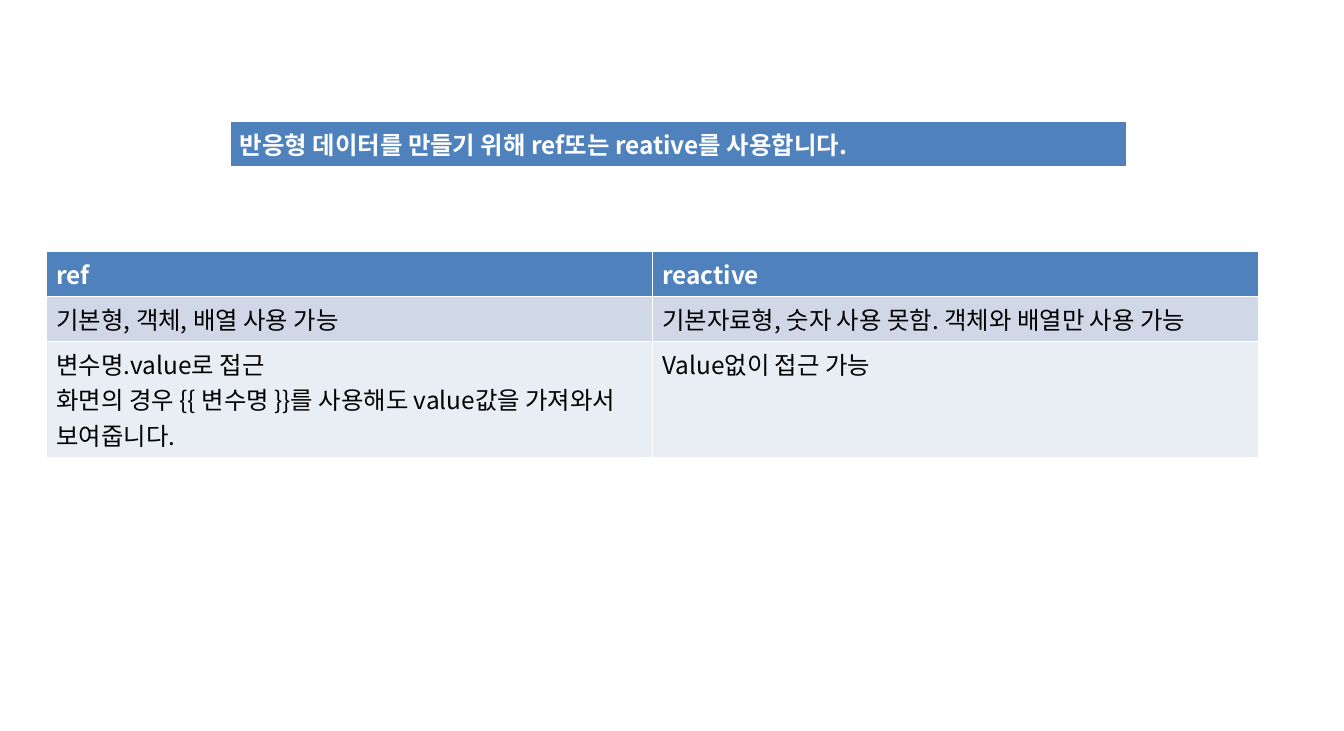
from lxml.etree import SubElement
from pptx import Presentation
from pptx.dml.color import RGBColor
from pptx.oxml.ns import qn
from pptx.util import Inches, Pt


def color(hex_string):
    return RGBColor.from_string(hex_string)


class SlideBuilder:
    """Hold the table style and add tables to the current slide."""

    font_name = "Noto Sans CJK KR"
    font_size = Pt(18)
    row_height = 0.41
    header_fill = "4F81BD"
    band_fills = ("D0D8E8", "E9EDF4")

    def __init__(self, slide):
        self.slide = slide

    def add_table(self, left, top, width, rows):
        column_count = len(rows[0])
        table = self.slide.shapes.add_table(
            len(rows), column_count, Inches(left), Inches(top),
            Inches(width), Inches(self.row_height * len(rows))).table
        for column in table.columns:
            column.width = Inches(width / column_count)
        for row_index, texts in enumerate(rows):
            table.rows[row_index].height = Inches(self.row_height)
            for column_index, text in enumerate(texts):
                self.fill_cell(table.cell(row_index, column_index), text, row_index)

    def fill_cell(self, cell, text, row_index):
        is_header = row_index == 0
        cell.fill.solid()
        cell.fill.fore_color.rgb = color(
            self.header_fill if is_header else self.band_fills[(row_index - 1) % 2])
        cell.text_frame.text = text
        for paragraph in cell.text_frame.paragraphs:
            self.style_paragraph(paragraph, "FFFFFF" if is_header else "000000", is_header)

    def style_paragraph(self, paragraph, text_color, bold):
        font = paragraph.font
        font.size = self.font_size
        font.bold = bold
        font.color.rgb = color(text_color)
        font.name = self.font_name
        properties = paragraph._p.get_or_add_pPr().find(qn("a:defRPr"))
        SubElement(properties, qn("a:ea")).set("typeface", self.font_name)


def main():
    presentation = Presentation()
    presentation.slide_width = Inches(13.78)
    presentation.slide_height = Inches(7.5)
    builder = SlideBuilder(presentation.slides.add_slide(presentation.slide_layouts[6]))

    builder.add_table(0.48, 2.58, 12.42, [
        ("ref", "reactive"),
        ("기본형, 객체, 배열 사용 가능",
         "기본자료형, 숫자 사용 못함. 객체와 배열만 사용 가능"),
        ("변수명.value로 접근\n"
         "화면의 경우 {{ 변수명 }}를 사용해도 value값을 가져와서 보여줍니다.",
         "Value없이 접근 가능"),
    ])
    builder.add_table(2.36, 1.25, 9.19, [
        ("반응형 데이터를 만들기 위해 ref또는 reative를 사용합니다.",),
    ])

    presentation.save("out.pptx")


if __name__ == "__main__":
    main()
